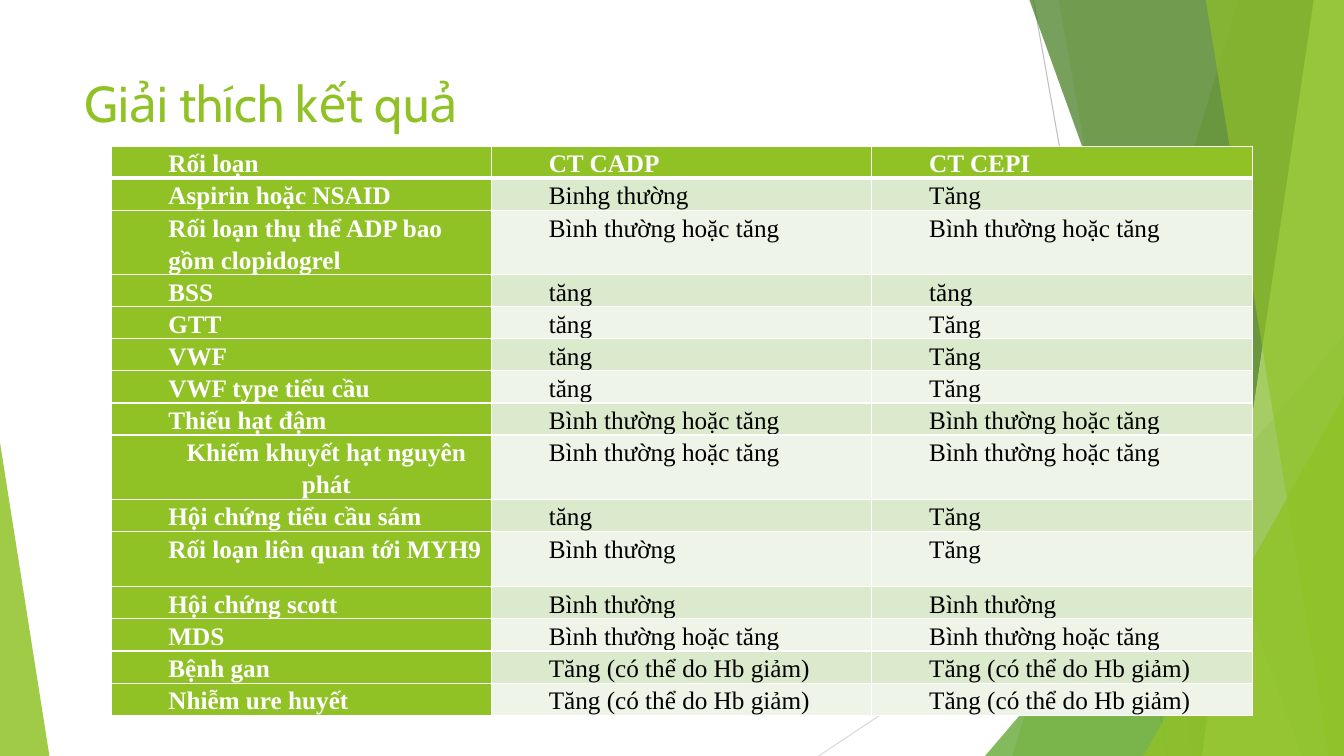
from lxml import etree
from pptx import Presentation
from pptx.dml.color import RGBColor
from pptx.enum.shapes import MSO_CONNECTOR, MSO_SHAPE
from pptx.enum.text import MSO_ANCHOR, PP_ALIGN
from pptx.oxml.ns import qn
from pptx.util import Inches, Pt

STRAIGHT = MSO_CONNECTOR.STRAIGHT
TRIANGLE = MSO_SHAPE.ISOSCELES_TRIANGLE
TOP = MSO_ANCHOR.TOP
LEFT, CENTER = PP_ALIGN.LEFT, PP_ALIGN.CENTER

GREEN, WHITE, BLACK = "90C226", "FFFFFF", "000000"
BANDS = ("DBE9CD", "EEF4E8")

VARIES = "Bình thường hoặc tăng"
LOW_HB = "Tăng (có thể do Hb giảm)"
CENTERED_DISORDER = "Khiếm khuyết hạt nguyên phát"
ROW_HEIGHT = 0.3
# disorder, CT CADP, CT CEPI, row height
RESULTS = [
    ("Rối loạn", "CT CADP", "CT CEPI", ROW_HEIGHT),
    ("Aspirin hoặc NSAID", "Binhg thường", "Tăng", ROW_HEIGHT),
    ("Rối loạn thụ thể ADP bao gồm clopidogrel", VARIES, VARIES, 0.59),
    ("BSS", "tăng", "tăng", ROW_HEIGHT),
    ("GTT", "tăng", "Tăng", ROW_HEIGHT),
    ("VWF", "tăng", "Tăng", ROW_HEIGHT),
    ("VWF type tiểu cầu", "tăng", "Tăng", ROW_HEIGHT),
    ("Thiếu hạt đậm", VARIES, VARIES, ROW_HEIGHT),
    (CENTERED_DISORDER, VARIES, VARIES, 0.55),
    ("Hội chứng tiểu cầu sám", "tăng", "Tăng", ROW_HEIGHT),
    ("Rối loạn liên quan tới MYH9", "Bình thường", "Tăng", 0.55),
    ("Hội chứng scott", "Bình thường", "Bình thường", ROW_HEIGHT),
    ("MDS", VARIES, VARIES, ROW_HEIGHT),
    ("Bệnh gan", LOW_HB, LOW_HB, ROW_HEIGHT),
    ("Nhiễm ure huyết", LOW_HB, LOW_HB, ROW_HEIGHT),
]


def rgb(color):
    return RGBColor.from_string(color)


class SlideBuilder:
    title_font = "Cabin"
    table_font = "Times New Roman"

    def __init__(self, s):
        self.s = s

    def line(self, x1, y1, x2, y2, color):
        sp = self.s.shapes.add_connector(
            STRAIGHT, Inches(x1), Inches(y1), Inches(x2), Inches(y2))
        sp.line.color.rgb = rgb(color)
        sp.line.width = Pt(0.75)
        etree.SubElement(sp.element.spPr, qn("a:effectLst"))

    def paint(self, sp, color, opacity):
        """Give a shape a see-through fill with no outline or shadow."""
        sp.shadow.inherit = False
        sp.line.fill.background()
        sp.fill.solid()
        sp.fill.fore_color.rgb = rgb(color)
        clr = sp.element.spPr.find(f".//{qn('a:srgbClr')}")
        etree.SubElement(clr, qn("a:alpha"), val=str(opacity * 1000))

    def shard(self, top_left, bottom_left, color, opacity):
        """Draw a full-height panel that reaches the right edge."""
        corners = [(top_left, 0), (13.33, 0), (13.33, 7.5), (bottom_left, 7.5)]
        points = [(Inches(x), Inches(y)) for x, y in corners]
        builder = self.s.shapes.build_freeform(*points[0])
        builder.add_line_segments(points[1:])
        self.paint(builder.convert_to_shape(), color, opacity)

    def triangle(self, x, y, w, h, apex, color, opacity):
        sp = self.s.shapes.add_shape(
            TRIANGLE, Inches(x), Inches(y), Inches(w), Inches(h))
        sp.adjustments[0] = apex
        self.paint(sp, color, opacity)

    def title(self, text, x, y, w, h):
        sp = self.s.shapes.title
        sp.left, sp.top, sp.width, sp.height = map(Inches, (x, y, w, h))
        tf = sp.text_frame
        tf.text = text
        tf.word_wrap = True
        tf.vertical_anchor = TOP
        p = tf.paragraphs[0]
        p.alignment = LEFT
        p.font.name, p.font.size = self.title_font, Pt(36)
        p.font.color.rgb = rgb(GREEN)
        sp.element.getparent().append(sp.element)  # in front of the panels

    def border(self, cell, side, width):
        ln = etree.SubElement(cell._tc.get_or_add_tcPr(), qn(f"a:ln{side}"),
                              w=str(Pt(width)))
        fill = etree.SubElement(ln, qn("a:solidFill"))
        etree.SubElement(fill, qn("a:srgbClr"), val=WHITE)

    def cell(self, cell, text, row, col):
        label = row == 0 or col == 0
        cell.margin_left = cell.margin_right = Inches(0.07)
        cell.margin_top = cell.margin_bottom = 0
        widths = {"L": 1, "R": 1, "T": 3 if row == 1 else 1,
                  "B": 3 if row == 0 else 1}
        for side, width in widths.items():
            self.border(cell, side, width)
        cell.fill.solid()
        cell.fill.fore_color.rgb = rgb(GREEN if label else BANDS[(row - 1) % 2])
        cell.text = text
        p = cell.text_frame.paragraphs[0]
        p._p.get_or_add_pPr().set("marL", str(Inches(0.5)))
        p.alignment = CENTER if text == CENTERED_DISORDER else LEFT
        p.line_spacing = 1.15
        p.font.name, p.font.size, p.font.bold = self.table_font, Pt(18), label
        p.font.color.rgb = rgb(WHITE if label else BLACK)

    def table(self, rows, x, y, w):
        height = sum(row[-1] for row in rows)
        table = self.s.shapes.add_table(
            len(rows), 3, Inches(x), Inches(y), Inches(w), Inches(height)).table
        for i, (*texts, row_height) in enumerate(rows):
            table.rows[i].height = Inches(row_height)
            for j, text in enumerate(texts):
                self.cell(table.cell(i, j), text, i, j)


def main():
    prs = Presentation()
    prs.slide_width, prs.slide_height = Inches(13.33), Inches(7.5)
    slide = SlideBuilder(prs.slides.add_slide(prs.slide_layouts[5]))

    slide.line(10.25, 0, 11.58, 7.5, "BFBFBF")
    slide.line(13.33, 4.03, 8.12, 7.5, "D9D9D9")
    slide.shard(12.28, 10.04, GREEN, 30)
    slide.shard(10.5, 11.83, GREEN, 20)
    slide.triangle(9.77, 3.33, 3.56, 4.17, 1, "54A021", 72)
    slide.shard(10.21, 12.91, "3F7819", 70)
    slide.shard(13.03, 11.92, "C0E474", 70)
    slide.shard(11.96, 13.18, GREEN, 65)
    slide.triangle(11.34, 3.93, 1.99, 3.57, 1, GREEN, 80)
    slide.triangle(0, 4.39, 0.49, 3.11, 0, GREEN, 85)

    slide.title("Giải thích kết quả", 0.74, 0.67, 9.4, 1.44)
    slide.table(RESULTS, 1.1, 1.45, 11.32)
    prs.save("out.pptx")


if __name__ == "__main__":
    main()
